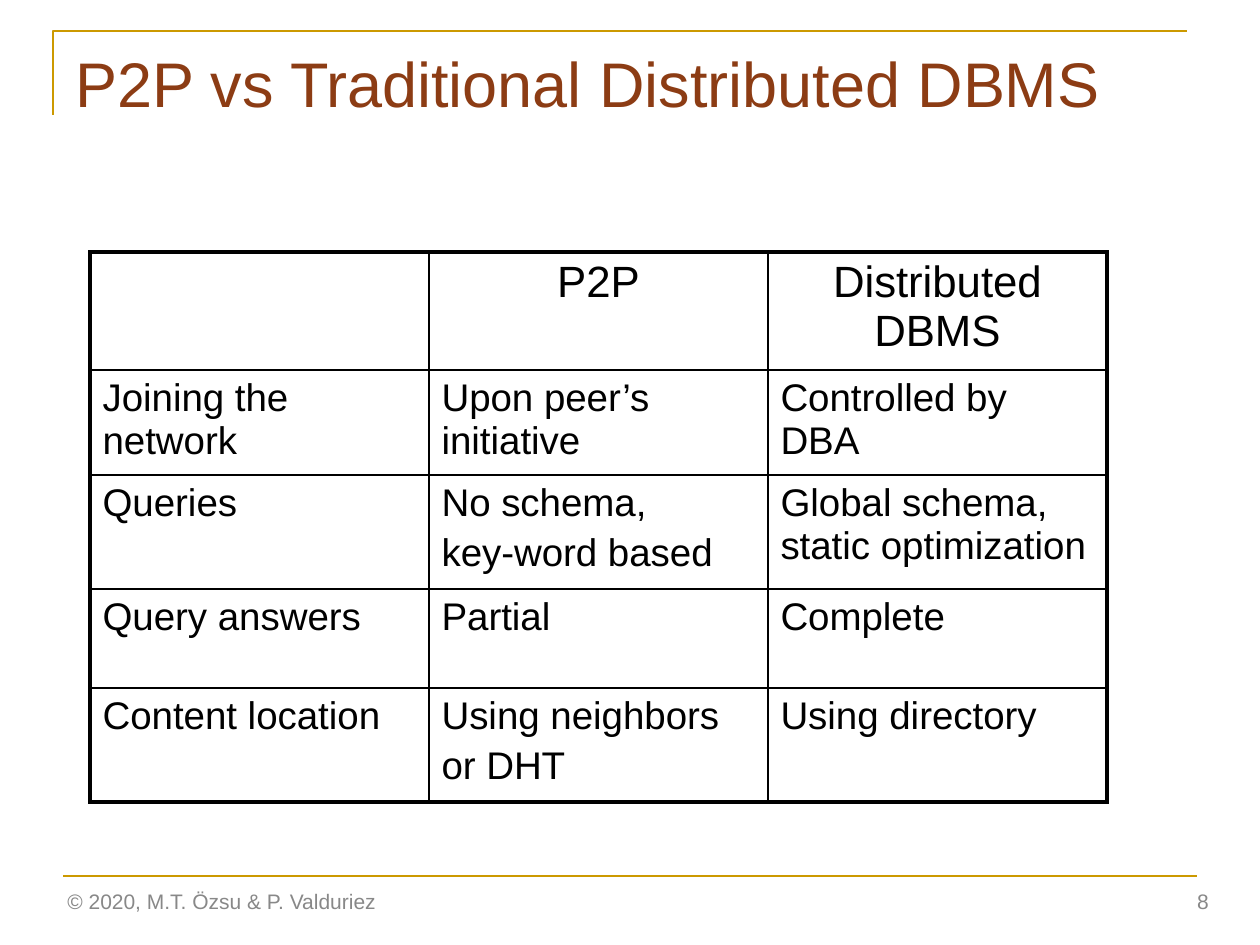
from dataclasses import dataclass

from lxml.etree import SubElement
from pptx import Presentation
from pptx.dml.color import RGBColor
from pptx.enum.shapes import MSO_CONNECTOR
from pptx.enum.text import MSO_ANCHOR, PP_ALIGN
from pptx.oxml import parse_xml
from pptx.oxml.ns import nsdecls, qn
from pptx.util import Emu, Pt

PX = 914400 / 126
FONT = "Arial"
BLACK, GOLD, BROWN, GRAY = "000000", "CC9900", "8C3C14", "888888"
THIN, THICK = 1, 2.25
COLUMN_WIDTH = 339
ROW_HEIGHTS = [118, 105, 114, 99, 114]
COMPARISON = [
    ["", "P2P", "Distributed DBMS"],
    ["Joining the network", "Upon peer’s initiative", "Controlled by DBA"],
    ["Queries", "No schema,\nkey-word based", "Global schema, static optimization"],
    ["Query answers", "Partial", "Complete"],
    ["Content location", "Using neighbors\nor DHT", "Using directory"],
]


@dataclass
class Label:
    text: str
    left: int
    top: int
    width: int
    height: int
    size: int
    color: str
    anchor: MSO_ANCHOR = MSO_ANCHOR.MIDDLE
    align: PP_ALIGN = PP_ALIGN.LEFT


LABELS = [
    Label("P2P vs Traditional Distributed DBMS", 63, 38, 1134, 157, 36, BROWN, MSO_ANCHOR.TOP),
    Label("© 2020, M.T. Özsu & P. Valduriez", 55, 876, 426, 50, 12, GRAY),
    Label("8", 937, 876, 284, 50, 12, GRAY, align=PP_ALIGN.RIGHT),
]


def px(length: int) -> Emu:
    return Emu(round(length * PX))


def rgb(color: str) -> RGBColor:
    return RGBColor.from_string(color)


def format_text(frame, size: int, color: str, align: PP_ALIGN) -> None:
    for paragraph in frame.paragraphs:
        paragraph.alignment = align
        for run in paragraph.runs:
            run.font.name = FONT
            run.font.size = Pt(size)
            run.font.color.rgb = rgb(color)


def draw_label(slide, label: Label) -> None:
    box = slide.shapes.add_textbox(
        px(label.left), px(label.top), px(label.width), px(label.height))
    frame = box.text_frame
    frame.word_wrap = True
    frame.vertical_anchor = label.anchor
    frame.text = label.text
    format_text(frame, label.size, label.color, label.align)


def style_line(line) -> None:
    line.color.rgb = rgb(GOLD)
    line.width = Pt(1.5)


def draw_rules(slide) -> None:
    builder = slide.shapes.build_freeform(53, 115, scale=PX)
    builder.add_line_segments([(53, 31), (1187, 31)], close=False)
    corner = builder.convert_to_shape()
    corner.shadow.inherit = False
    corner.fill.background()
    style_line(corner.line)

    footer_rule = slide.shapes.add_connector(
        MSO_CONNECTOR.STRAIGHT, px(63), px(876), px(1197), px(876))
    SubElement(footer_rule._element.spPr, qn("a:effectLst"))
    style_line(footer_rule.line)


def set_borders(cell, widths: dict[str, float]) -> None:
    properties = cell._tc.get_or_add_tcPr()
    for position, (side, width) in enumerate(widths.items()):
        properties.insert(position, parse_xml(
            f'<a:ln{side} {nsdecls("a")} w="{Pt(width)}"><a:solidFill>'
            f'<a:srgbClr val="{BLACK}"/></a:solidFill></a:ln{side}>'))


def draw_comparison(slide) -> None:
    last_row, last_column = len(COMPARISON) - 1, len(COMPARISON[0]) - 1
    table = slide.shapes.add_table(
        last_row + 1, last_column + 1, px(90), px(252),
        px(COLUMN_WIDTH * (last_column + 1)), px(sum(ROW_HEIGHTS))).table
    table.first_row = False
    table.horz_banding = False
    for column in table.columns:
        column.width = px(COLUMN_WIDTH)
    for r, (height, entries) in enumerate(zip(ROW_HEIGHTS, COMPARISON)):
        table.rows[r].height = px(height)
        for c, entry in enumerate(entries):
            cell = table.cell(r, c)
            cell.fill.background()
            frame = cell.text_frame
            frame.text = entry
            if r == 0:
                format_text(frame, 25, BLACK, PP_ALIGN.CENTER)
            else:
                format_text(frame, 22, BLACK, PP_ALIGN.LEFT)
            for paragraph in frame.paragraphs[1:]:
                paragraph.space_before = Pt(4.4)
            set_borders(cell, {
                "L": THICK if c == 0 else THIN,
                "R": THICK if c == last_column else THIN,
                "T": THICK if r == 0 else THIN,
                "B": THICK if r == last_row else THIN,
            })


def main() -> None:
    presentation = Presentation()
    presentation.slide_width, presentation.slide_height = px(1260), px(945)
    slide = presentation.slides.add_slide(presentation.slide_layouts[6])
    draw_rules(slide)
    draw_comparison(slide)
    for label in LABELS:
        draw_label(slide, label)
    presentation.save("out.pptx")


if __name__ == "__main__":
    main()
